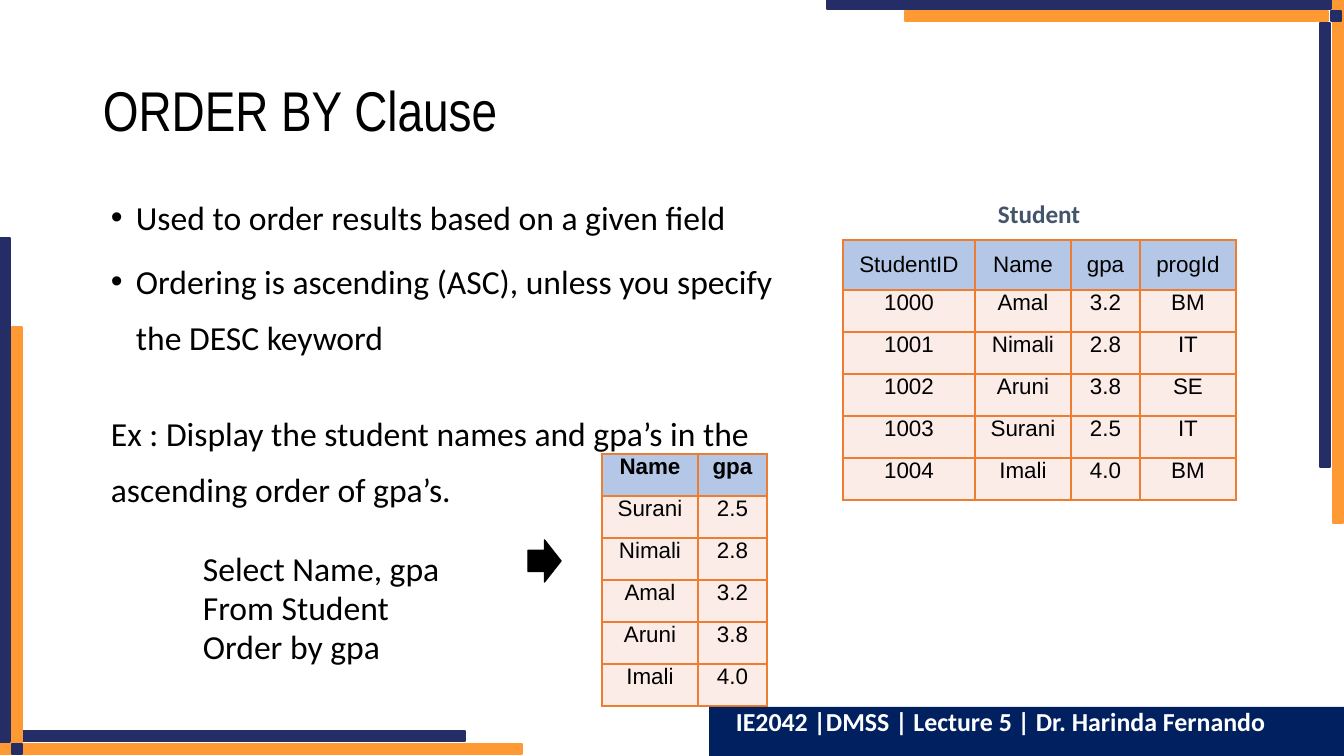
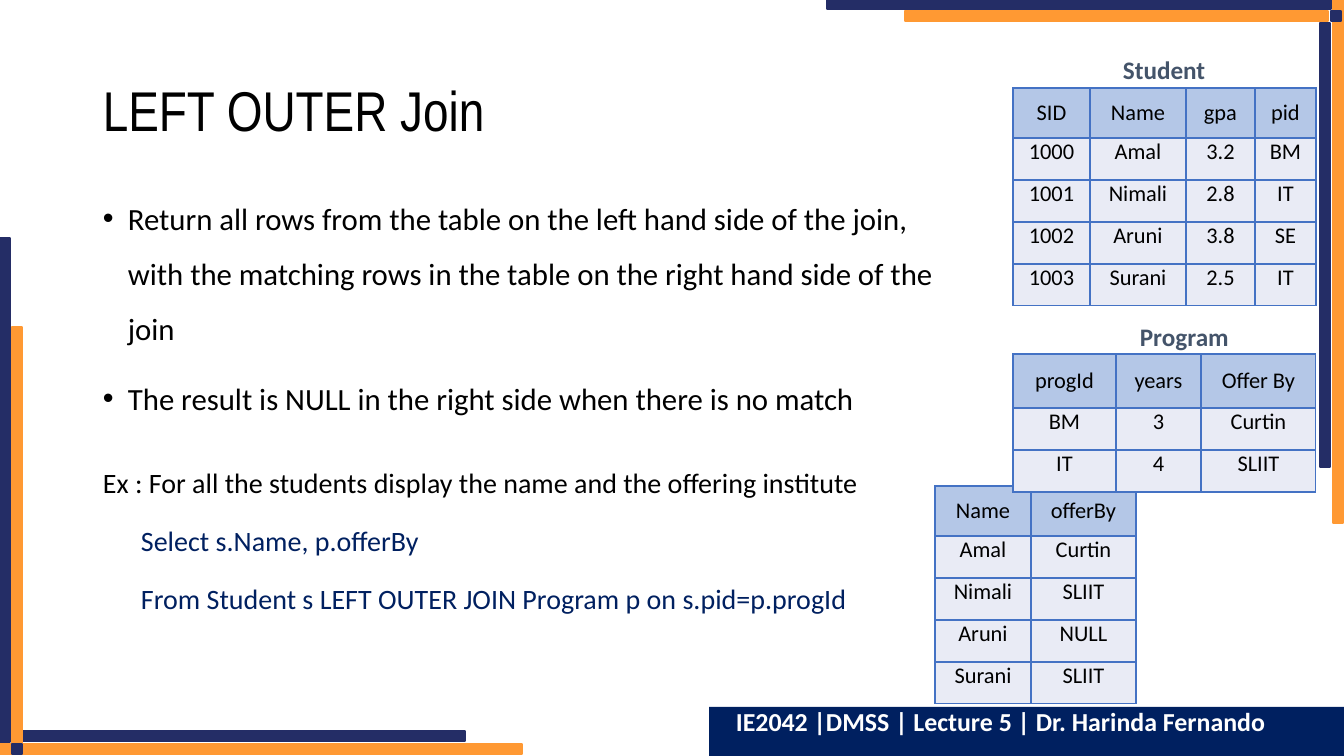
from lxml.etree import SubElement
from pptx import Presentation
from pptx.dml.color import RGBColor
from pptx.enum.shapes import MSO_SHAPE as SHAPE
from pptx.enum.text import MSO_ANCHOR as ANCHOR, PP_ALIGN as ALIGN
from pptx.oxml.ns import qn
from pptx.util import Pt

W, H = 1344, 756
SCALE = 12192000 / W

BLACK = RGBColor(0x00, 0x00, 0x00)
WHITE = RGBColor(0xFF, 0xFF, 0xFF)
NAVY = RGBColor(0x24, 0x2D, 0x66)
ORANGE = RGBColor(0xFF, 0x99, 0x33)
DEEP_BLUE = RGBColor(0x00, 0x20, 0x60)
SLATE = RGBColor(0x44, 0x54, 0x6A)
HEADER = RGBColor(0xB4, 0xC7, 0xE7)
PEACH = RGBColor(0xFC, 0xEC, 0xE8)
RUST = RGBColor(0xED, 0x7D, 0x31)
PALE = RGBColor(0xE9, 0xEB, 0xF5)
BLUE = RGBColor(0x44, 0x72, 0xC4)

TITLE_FONT = "Arial Narrow"
BODY_FONT = "Calibri"
FOOTER = "IE2042 |DMSS | Lecture 5 | Dr. Harinda Fernando"
FOOTER_BOX = (709, 707, 635, 49)
TITLE_BOX = (93, 40, 1159, 146)

BAND = 10
BANDS = [
    (1333, -1, BAND, 524, ORANGE),
    (1320, 23, BAND, 444, NAVY),
    (827, -1, 504, BAND, NAVY),
    (905, 11, 423, BAND, ORANGE),
    (1331, 11, BAND, BAND, NAVY),
    (-2, 744, 524, BAND, ORANGE),
    (21, 731, 444, BAND, NAVY),
    (0, 238, BAND, 504, NAVY),
    (12, 327, BAND, 423, ORANGE),
    (12, 744, BAND, BAND, NAVY),
]

PEACH_STYLE = dict(font="Arial", body=PEACH, border=RUST)
BLUE_STYLE = dict(font=BODY_FONT, body=PALE, border=BLUE)
ROW_H = 42

ORDER_POINT = dict(size=24, spacing=1.4, before=5, left=33, bullet=25)
ORDER_EXAMPLE = dict(size=24, spacing=1.4, before=28, left=8)
ORDER_CODE = dict(size=24, spacing=0.8, before=5, left=100)
JOIN_POINT = dict(size=22, spacing=1.5, before=10, left=25, bullet=25)
JOIN_EXAMPLE = dict(size=20, spacing=0.9, before=38)
JOIN_CODE = dict(size=20, spacing=1.5, before=5, left=38, color=DEEP_BLUE)

SLIDES = [
    dict(
        title="ORDER BY Clause",
        body_box=(93, 176, 732, 514),
        body=[
            ("Used to order results based on a given field", ORDER_POINT),
            ("Ordering is ascending (ASC), unless you specify the DESC keyword", ORDER_POINT),
            ("Ex : Display the student names and gpa’s in the ascending order of gpa’s.",
             ORDER_EXAMPLE),
            ("Select Name, gpa", dict(ORDER_CODE, before=33)),
            ("From Student", ORDER_CODE),
            ("Order by gpa", ORDER_CODE),
        ],
        arrow=(528, 540, 33, 42),
        tables=[
            dict(at=(602, 454), cols=[96, 69], header_h=ROW_H, bold=True,
                 anchor=ANCHOR.TOP, style=PEACH_STYLE, rows=[
                     ("Name", "gpa"), ("Surani", "2.5"), ("Nimali", "2.8"),
                     ("Amal", "3.2"), ("Aruni", "3.8"), ("Imali", "4.0")]),
            dict(at=(843, 240), cols=[132, 96, 69, 96], header_h=50,
                 style=PEACH_STYLE, rows=[
                     ("StudentID", "Name", "gpa", "progId"),
                     ("1000", "Amal", "3.2", "BM"),
                     ("1001", "Nimali", "2.8", "IT"),
                     ("1002", "Aruni", "3.8", "SE"),
                     ("1003", "Surani", "2.5", "IT"),
                     ("1004", "Imali", "4.0", "BM")]),
        ],
        labels=[("Student", (988, 193, 104, 40))],
    ),
    dict(
        title="LEFT OUTER Join",
        body_box=(93, 176, 850, 519),
        body=[
            ("Return all rows from the table on the left hand side of the join, with the "
             "matching rows in the table on the right hand side of the join", JOIN_POINT),
            ("The result is NULL in the right side when there is no match", JOIN_POINT),
            ("Ex : For all the students display the name and the offering institute",
             JOIN_EXAMPLE),
            ("Select s.Name, p.offerBy", JOIN_CODE),
            ("From Student s LEFT OUTER JOIN Program p on s.pid=p.progId", JOIN_CODE),
        ],
        tables=[
            dict(at=(935, 486), cols=[96, 105], header_h=50, style=BLUE_STYLE, rows=[
                ("Name", "offerBy"), ("Amal", "Curtin"), ("Nimali", "SLIIT"),
                ("Aruni", "NULL"), ("Surani", "SLIIT")]),
            dict(at=(1013, 88), cols=[77, 96, 69, 61], header_h=50, style=BLUE_STYLE, rows=[
                ("SID", "Name", "gpa", "pid"),
                ("1000", "Amal", "3.2", "BM"),
                ("1001", "Nimali", "2.8", "IT"),
                ("1002", "Aruni", "3.8", "SE"),
                ("1003", "Surani", "2.5", "IT")]),
            dict(at=(1013, 354), cols=[103, 85, 115], header_h=54, style=BLUE_STYLE, rows=[
                ("progId", "years", "Offer By"), ("BM", "3", "Curtin"),
                ("IT", "4", "SLIIT")]),
        ],
        labels=[("Student", (1113, 49, 104, 40)), ("Program", (1130, 316, 110, 40))],
    ),
]


def px(n):
    return round(n * SCALE)


def format_runs(p, size, color=BLACK, font=BODY_FONT, bold=False):
    for r in p.runs:
        r.font.size = Pt(size)
        r.font.name = font
        r.font.bold = bold
        r.font.color.rgb = color


def set_indent(p, left, bullet=0):
    pPr = p._p.get_or_add_pPr()
    pPr.set("marL", str(px(left)))
    pPr.set("indent", str(px(-bullet)))
    if bullet:
        SubElement(pPr, qn("a:buFont")).set("typeface", "Arial")
        SubElement(pPr, qn("a:buChar")).set("char", "•")


def add_shape(s, kind, box, fill, line=None):
    sp = s.shapes.add_shape(kind, *map(px, box))
    sp.shadow.inherit = False
    sp.fill.solid()
    sp.fill.fore_color.rgb = fill
    if line is None:
        sp.line.fill.background()
    else:
        sp.line.color.rgb = line
        sp.line.width = Pt(1)
    return sp


def add_text(s, box, text, wrap=True, **font):
    tf = s.shapes.add_textbox(*map(px, box)).text_frame
    tf.word_wrap = wrap
    tf.text = text
    format_runs(tf.paragraphs[0], **font)
    return tf


def add_title(s, text):
    tf = add_text(s, TITLE_BOX, text, size=40, font=TITLE_FONT)
    tf.vertical_anchor = ANCHOR.MIDDLE
    tf.paragraphs[0].line_spacing = 0.9


def add_body(s, box, items):
    tf = s.shapes.add_textbox(*map(px, box)).text_frame
    tf.word_wrap = True
    for i, (text, style) in enumerate(items):
        p = tf.add_paragraph() if i else tf.paragraphs[0]
        p.text = text
        set_indent(p, style.get("left", 0), style.get("bullet", 0))
        p.line_spacing = style["spacing"]
        p.space_before = Pt(style["before"] if i else 0)
        format_runs(p, style["size"], style.get("color", BLACK))


def set_borders(cell, color):
    tcPr = cell._tc.get_or_add_tcPr()
    for side in ("a:lnL", "a:lnR", "a:lnT", "a:lnB"):
        ln = SubElement(tcPr, qn(side), w=str(Pt(1)))
        SubElement(SubElement(ln, qn("a:solidFill")), qn("a:srgbClr"), val=str(color))


def add_table(s, at, cols, header_h, rows, style, bold=False, anchor=ANCHOR.MIDDLE):
    heights = [header_h] + [ROW_H] * (len(rows) - 1)
    box = (*at, sum(cols), sum(heights))
    table = s.shapes.add_table(len(rows), len(cols), *map(px, box)).table
    for column, width in zip(table.columns, cols):
        column.width = px(width)
    for i, (row, height, values) in enumerate(zip(table.rows, heights, rows)):
        row.height = px(height)
        for cell, value in zip(row.cells, values):
            cell.margin_top = cell.margin_bottom = 0
            cell.margin_left = cell.margin_right = px(10)
            cell.vertical_anchor = ANCHOR.TOP if i else anchor
            set_borders(cell, style["border"])
            cell.fill.solid()
            cell.fill.fore_color.rgb = style["body"] if i else HEADER
            cell.text_frame.text = value
            p = cell.text_frame.paragraphs[0]
            p.alignment = ALIGN.CENTER
            format_runs(p, 16, font=style["font"], bold=bold and i == 0)


def add_footer(s):
    tf = add_shape(s, SHAPE.RECTANGLE, FOOTER_BOX, DEEP_BLUE).text_frame
    tf.word_wrap = True
    tf.vertical_anchor = ANCHOR.TOP
    tf.text = FOOTER
    p = tf.paragraphs[0]
    p.alignment = ALIGN.LEFT
    p.line_spacing = 0.8
    set_indent(p, 17)
    format_runs(p, 18.5, WHITE, bold=True)


def build_slide(prs, content):
    s = prs.slides.add_slide(prs.slide_layouts[6])
    for *box, color in BANDS:
        add_shape(s, SHAPE.RECTANGLE, box, color, color)
    add_title(s, content["title"])
    add_body(s, content["body_box"], content["body"])
    if "arrow" in content:
        add_shape(s, SHAPE.RIGHT_ARROW, content["arrow"], BLACK, BLACK)
    for table in content["tables"]:
        add_table(s, **table)
    for text, box in content["labels"]:
        add_text(s, box, text, wrap=False, size=18, color=SLATE, bold=True)
    add_footer(s)


def main():
    prs = Presentation()
    prs.slide_width, prs.slide_height = px(W), px(H)
    for content in SLIDES:
        build_slide(prs, content)
    prs.save("out.pptx")


if __name__ == "__main__":
    main()
